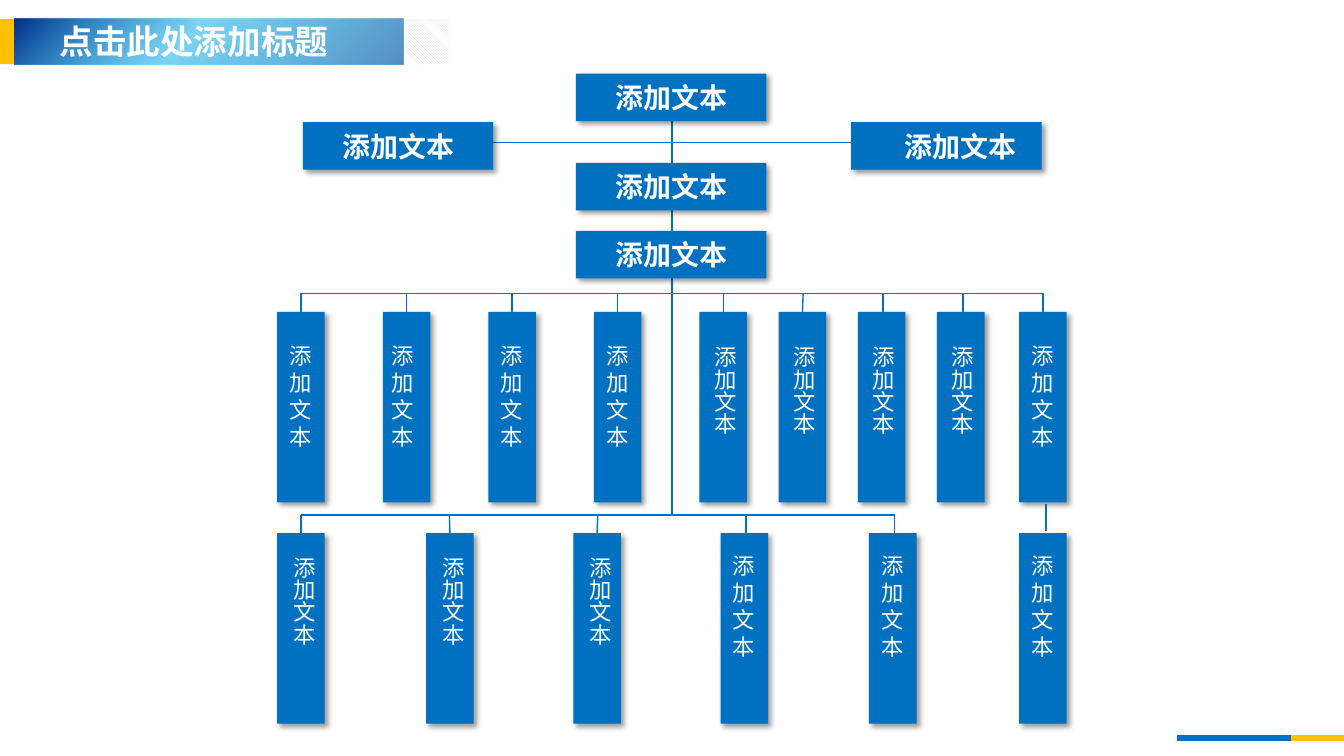
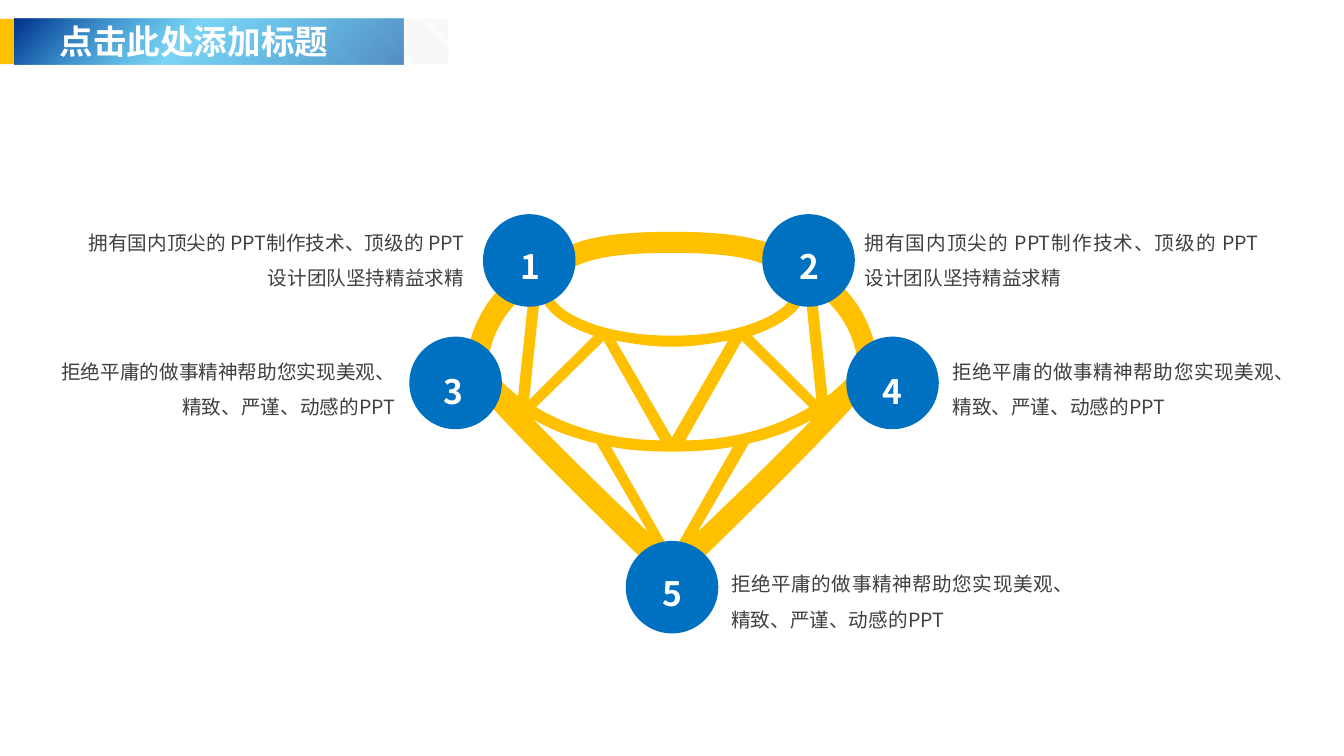
from dataclasses import dataclass
from lxml.etree import SubElement
from pptx import Presentation
from pptx.dml.color import RGBColor as RGB
from pptx.enum.dml import MSO_PATTERN as Hatch
from pptx.enum.shapes import MSO_CONNECTOR as Conn, MSO_SHAPE as Form
from pptx.enum.text import MSO_ANCHOR as Anchor, MSO_AUTO_SIZE as Auto, PP_ALIGN as Align
from pptx.oxml import parse_xml
from pptx.oxml.ns import nsdecls, qn
from pptx.util import Pt


@dataclass(frozen=True)
class Theme:
    face: str = "Noto Sans CJK SC"
    blue: RGB = RGB(0x00, 0x70, 0xC0)
    gold: RGB = RGB(0xFF, 0xC0, 0x00)
    white: RGB = RGB(0xFF, 0xFF, 0xFF)
    mist: RGB = RGB(0xD9, 0xD9, 0xD9)
    ink: RGB = RGB(0x40, 0x40, 0x40)
    head: int = 24
    node: int = 20
    leaf: int = 16
    note: int = 14


theme = Theme()

GLOW = f"""<a:gradFill {nsdecls('a')} rotWithShape="1"><a:gsLst>
<a:gs pos="1000"><a:srgbClr val="2E75B6"><a:alpha val="80000"/></a:srgbClr></a:gs>
<a:gs pos="56000"><a:srgbClr val="00B0F0"><a:alpha val="50000"/></a:srgbClr></a:gs>
<a:gs pos="100000"><a:srgbClr val="002E8A"/></a:gs></a:gsLst>
<a:path path="circle"><a:fillToRect l="100000" t="100000"/></a:path></a:gradFill>"""
SHADE = f"""<a:outerShdw {nsdecls('a')} blurRad="50800" dist="38100" dir="2700000"
algn="tl" rotWithShape="0"><a:srgbClr val="000000"><a:alpha val="40000"/></a:srgbClr></a:outerShdw>"""


def box(sld, x, y, w, h, color, form=Form.RECTANGLE, shade=False):
    shape = sld.shapes.add_shape(form, Pt(x), Pt(y), Pt(w), Pt(h))
    shape.fill.solid()
    shape.fill.fore_color.rgb = color
    shape.line.fill.background()
    shape.shadow.inherit = False
    if shade:
        shape._element.spPr.find(qn("a:effectLst")).append(parse_xml(SHADE))
    return shape


def write(shape, text, size, color, bold=False, align=Align.LEFT, anchor=Anchor.TOP,
          space=None, pad=(7.2, 3.6, 7.2, 3.6)):
    frame = shape.text_frame
    frame.word_wrap = True
    frame.auto_size = Auto.NONE
    frame.vertical_anchor = anchor
    frame.margin_left, frame.margin_top, frame.margin_right, frame.margin_bottom = map(Pt, pad)
    frame.text = text
    para = frame.paragraphs[0]
    para.alignment = align
    if space:
        para.line_spacing = space
    font = para.font
    font.size, font.bold, font.name = Pt(size), bold, theme.face
    font.color.rgb = color
    SubElement(font._element, qn("a:ea")).set("typeface", theme.face)


deck = Presentation()
deck.slide_width, deck.slide_height = Pt(960), Pt(540)

for _ in range(2):
    sld = deck.slides.add_slide(deck.slide_layouts[5])
    box(sld, 0, 13.5, 10.4, 32.4, theme.gold)
    band = box(sld, 10.4, 13.5, 310, 32.4, theme.white)
    band.fill.patterned()
    band.fill.pattern = Hatch.LIGHT_DOWNWARD_DIAGONAL
    band.fill.fore_color.rgb = theme.mist
    band.fill.back_color.rgb = theme.white
    props = box(sld, 10.4, 13.5, 277.6, 32.4, theme.blue)._element.spPr
    props.replace(props.find(qn("a:solidFill")), parse_xml(GLOW))
    title = sld.shapes.title
    title.left, title.top, title.width, title.height = Pt(35.3), Pt(11.2), Pt(346.3), Pt(36.7)
    write(title, "点击此处添加标题", theme.head, theme.white, True)
    sld.shapes._spTree.append(title._element)

tree, gem = deck.slides

LONG, SHORT = 136, 34
AXIS, LEFT, RIGHT = 480, 215, 745
upper = [LEFT + 75.4 * i for i in range(5)] + [573.2, 629.8, 686.3, RIGHT]
lower = [LEFT, 321.4, 426.5, 531.7, 637.7, RIGHT]
rows = []
for mids, top, drop, tall, shift in [
    (upper, 222.8, 21.7, range(4, 8), 2),
    (lower, 380.9, 13.7, range(3), 4.4),
]:
    bars = []
    for i, mid in enumerate(mids):
        bar = box(tree, mid - SHORT / 2, top, SHORT, LONG, theme.blue, shade=True)
        if i in tall:
            write(bar, "添加文本", theme.leaf, theme.white, anchor=Anchor.MIDDLE,
                  pad=(shift, drop + 2.8, 0, 0))
            bar.text_frame._txBody.bodyPr.set("vert", "eaVert")
        else:
            inset = 6.2 if mids is upper and i == 1 else 8.8
            write(bar, "添加文本", theme.leaf, theme.white, pad=(inset, drop, 0, 0))
        bars.append(bar)
    rows.append(bars)

RAIL, BASE, FOOT = 209.5, 367.8, 527
thin = (theme.blue, 1)
links = [
    (350, 101.8, 612, 101.8, None, *thin),
    (AXIS, 75, AXIS, 198.6, None, *thin),
    (AXIS, 197.5, AXIS, BASE, None, *thin),
    (LEFT, RAIL, RIGHT, RAIL, None, *thin),
    (LEFT, BASE, 639, BASE, None, *thin),
    (747.2, 360, 747.2, 379.6, None, *thin),
    (840.4, FOOT, 922.3, FOOT, None, theme.blue, 4.5),
    (922.3, FOOT, 960, FOOT, None, theme.gold, 4.5),
]
ticks = [LEFT + 75.4 * i for i in range(5)] + [516.6 + 57.1 * i for i in range(1, 5)]
steps = [LEFT + 106 * i for i in range(5)]
for marks, rail, mids, bars in [(ticks, RAIL, upper, rows[0]), (steps, BASE, lower, rows[1])]:
    for x, mid, bar in zip(marks, mids, bars):
        links.append((x, rail, x, bar.top.pt, bar if abs(x - mid) < 1 else None, *thin))
for x, y, far, low, end, color, width in links:
    line = tree.shapes.add_connector(Conn.STRAIGHT, Pt(x), Pt(y), Pt(far), Pt(low))
    line.line.color.rgb = color
    line.line.width = Pt(width)
    SubElement(line._element.spPr, qn("a:effectLst"))
    if end:
        line.end_connect(end, 0)

for x, y, pad in [
    (411.4, 52.6, 1.2),
    (411.4, 116.4, 1.2),
    (411.4, 164.9, 1.2),
    (216.3, 87.2, 1),
    (608, 87.2, 20.6),
]:
    node = box(tree, x, y, LONG, SHORT, theme.blue, shade=True)
    write(node, "添加文本", theme.node, theme.white, True, Align.CENTER, Anchor.MIDDLE,
          pad=(pad, 0, 0, 0))

halves = [
    [(480, 165.6), (410.4, 165.6, 402.5, 177.8, 375.1, 192.2),
     (344.2, 209.5, 332.6, 242.6, 332.6, 266.4), (332.6, 278.6, 480, 419.8, 480, 419.8)],
    [(480, 180.7), (427, 180.7, 414, 187.2, 396, 198.7),
     (394.6, 200.9, 393.1, 203.8, 393.1, 206.6), (393.1, 221.8, 427.7, 239.8, 480, 239.8)],
    [(480, 247.7), (464.4, 247.7, 452.2, 245.5, 439.9, 243.4), (480, 312.5)],
    [(480, 322.6), (463.7, 322.6, 449.3, 321.8, 436.3, 319), (480, 396)],
]
facets = [
    [(385.9, 209.5), (388.1, 221.8, 402.5, 232.6, 424.1, 239.8), (378, 285.8)],
    [(431.3, 243.4), (471.6, 314.6), (432, 313.9, 403.2, 303.1, 383, 290.9)],
    [(378, 208.8), (370.1, 283), (359.3, 274.3, 352.1, 266.4, 348.5, 261.4),
     (349.2, 243.4, 359.3, 221.8, 378, 208.8)],
    [(380.9, 299.5), (393.1, 306.7, 407.5, 312.5, 426.2, 316.8), (463, 380.2),
     (432, 350.6, 402.5, 321.8, 380.9, 299.5)],
]
loops, kinds = [], []
for i, parts in enumerate(halves + facets):
    dots = [pair for part in parts for pair in zip(part[::2], part[1::2])]
    sizes = [len(part) // 2 for part in parts[1:]]
    whole = i < len(halves)
    span = 960 if whole else 961.2
    twin = [(span - x, y) for x, y in reversed(dots)]
    loops += [dots + twin[1:]] if whole else [dots, twin]
    kinds += sizes + sizes[::-1]

loops = [[(Pt(x), Pt(y)) for x, y in dots] for dots in loops]
pen = gem.shapes.build_freeform(*loops[0][0])
pen.add_line_segments(loops[0][1:])
for dots in loops[1:]:
    pen.move_to(*dots[0])
    pen.add_line_segments(dots[1:])
stone = pen.convert_to_shape()
edges = iter(list(stone._element.iter(qn("a:lnTo"))))
for size in kinds:
    edge = next(edges)
    if size == 3:
        edge.tag = qn("a:cubicBezTo")
        for _ in range(2):
            spare = next(edges)
            edge.append(spare[0])
            spare.getparent().remove(spare)
stone.fill.solid()
stone.fill.fore_color.rgb = theme.gold
stone.line.fill.background()
stone.shadow.inherit = False

skill = "拥有国内顶尖的 PPT制作技术、顶级的 PPT设计团队坚持精益求精"
care = "拒绝平庸的做事精神帮助您实现美观、精致、严谨、动感的PPT"
for x, y, w, text, align in [
    (610.6, 153, 295.2, skill, Align.JUSTIFY),
    (673.2, 244.8, 258.5, care, Align.JUSTIFY),
    (515.2, 396.9, 258.5, care, Align.JUSTIFY),
    (43.6, 153, 295.2, skill, Align.RIGHT),
    (31, 244.8, 258.5, care, Align.RIGHT),
]:
    note = gem.shapes.add_textbox(Pt(x), Pt(y), Pt(w), Pt(58.3))
    write(note, text, theme.note, theme.ink, align=align, space=1.5)

spots = [
    (345, 153, 2, 6),
    (544.5, 153, 1.4, 6),
    (292.4, 240.5, -2.6, 3.2),
    (604.5, 240.5, 0, 3.2),
    (447, 386.4, 0, 6),
]
for i, (x, y, shift, lift) in enumerate(spots, 1):
    disc = box(gem, x, y, 66.1, 66.1, theme.blue, Form.OVAL)
    write(disc, str(i), theme.head, theme.white, True, Align.CENTER, Anchor.MIDDLE, 1.5,
          (max(shift, 0), 0, max(-shift, 0), lift))

deck.save("out.pptx")
